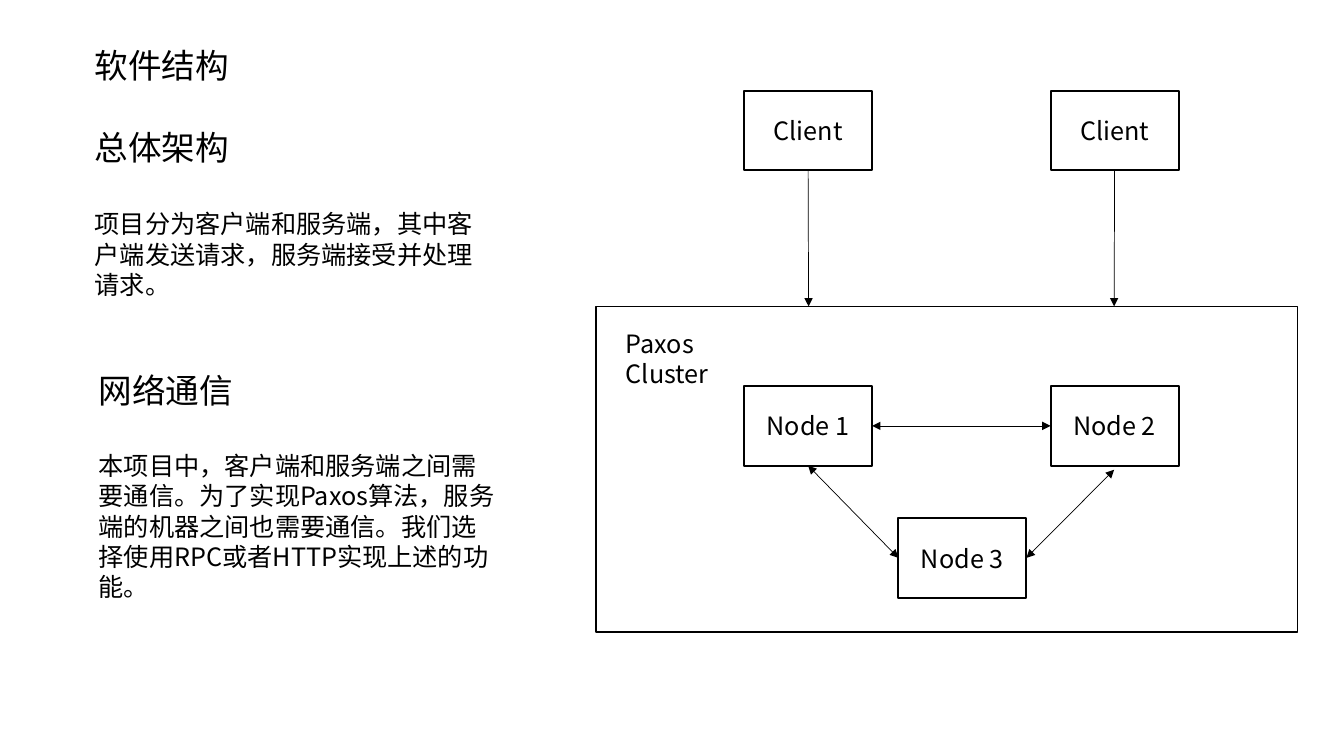
import pptx
import pptx.util
import pptx.dml.color
import pptx.enum.shapes
import pptx.enum.text
import pptx.oxml
import pptx.oxml.ns
from pptx.util import Inches

COLORS = {"ink": "000000", "paper": "FFFFFF"}
FONT = "Noto Sans CJK SC"
TOP, LEFT, BOTTOM, RIGHT = range(4)
NODE_SIZE = (1.27, 0.79)
LEFT_COLUMN, MIDDLE_COLUMN, RIGHT_COLUMN = 7.38, 8.91, 10.42
CLIENT_TOP, NODE_TOP, LOWER_NODE_TOP = 0.9, 3.83, 5.14

PASSAGES = [
    ("软件结构", 0.84, 0.4, 1.55, 0.5, 24),
    ("总体架构", 0.84, 1.21, 2.92, 0.5, 24),
    ("项目分为客户端和服务端，其中客户端发送请求，服务端接受并处理请求。",
     0.84, 2.02, 4.13, 1.62, 18),
    ("网络通信", 0.88, 3.62, 2.92, 0.5, 24),
    ("本项目中，客户端和服务端之间需要通信。为了实现Paxos算法，"
     "服务端的机器之间也需要通信。我们选择使用RPC或者HTTP实现上述的功能。",
     0.88, 4.42, 4.13, 1.92, 18),
    ("Paxos Cluster", 6.11, 3.21, 1.64, 0.4, 18),
]


def rgb(name):
    return pptx.dml.color.RGBColor.from_string(COLORS[name])


def add_xml(parent, tag, attributes=""):
    namespace = pptx.oxml.ns.nsdecls("a")
    parent.append(pptx.oxml.parse_xml(f"<a:{tag} {namespace} {attributes}/>"))


def write(frame, text, size):
    frame.word_wrap = True
    paragraph = frame.paragraphs[0]
    paragraph.text = text
    font = paragraph.font
    font.size = pptx.util.Pt(size)
    font.color.rgb = rgb("ink")
    font.name = FONT
    defaults = paragraph._p.pPr.find(pptx.oxml.ns.qn("a:defRPr"))
    add_xml(defaults, "ea", f'typeface="{FONT}"')
    return paragraph


def add_passage(slide, text, left, top, width, height, size):
    passage = slide.shapes.add_textbox(
        Inches(left), Inches(top), Inches(width), Inches(height))
    write(passage.text_frame, text, size)


def add_box(slide, left, top, width, height, line_width):
    box = slide.shapes.add_shape(
        pptx.enum.shapes.MSO_SHAPE.RECTANGLE,
        Inches(left), Inches(top), Inches(width), Inches(height))
    box.shadow.inherit = False
    box.fill.solid()
    box.fill.fore_color.rgb = rgb("paper")
    box.line.color.rgb = rgb("ink")
    box.line.width = pptx.util.Pt(line_width)
    return box


def add_machine(slide, label, left, top):
    machine = add_box(slide, left, top, *NODE_SIZE, 1.5)
    paragraph = write(machine.text_frame, label, 18)
    paragraph.alignment = pptx.enum.text.PP_ALIGN.CENTER
    machine.text_frame.vertical_anchor = pptx.enum.text.MSO_ANCHOR.MIDDLE
    return machine


def add_arrow(slide, start, end, both_ways=True):
    arrow = slide.shapes.add_connector(
        pptx.enum.shapes.MSO_CONNECTOR.STRAIGHT,
        *[Inches(value) for value in start + end])
    arrow.line.color.rgb = rgb("ink")
    arrow.line.width = pptx.util.Pt(0.5)
    line = arrow.line._get_or_add_ln()
    if both_ways:
        add_xml(line, "headEnd", 'type="triangle"')
    add_xml(line, "tailEnd", 'type="triangle"')
    add_xml(arrow._element.spPr, "effectLst")
    return arrow


def main():
    deck = pptx.Presentation()
    deck.slide_width, deck.slide_height = Inches(13.33), Inches(7.5)
    slide = deck.slides.add_slide(deck.slide_layouts[6])

    add_box(slide, 5.91, 3.04, 6.96, 3.23, 1)
    for passage in PASSAGES:
        add_passage(slide, *passage)

    node_1 = add_machine(slide, "Node 1", LEFT_COLUMN, NODE_TOP)
    node_2 = add_machine(slide, "Node 2", RIGHT_COLUMN, NODE_TOP)
    node_3 = add_machine(slide, "Node 3", MIDDLE_COLUMN, LOWER_NODE_TOP)

    for column, center in ((LEFT_COLUMN, 8.02), (RIGHT_COLUMN, 11.05)):
        client = add_machine(slide, "Client", column, CLIENT_TOP)
        request = add_arrow(slide, (center, 1.69), (center, 3.04), False)
        request.begin_connect(client, BOTTOM)

    link_1_2 = add_arrow(slide, (8.65, 4.22), (10.42, 4.22))
    link_1_2.begin_connect(node_1, RIGHT)
    link_1_2.end_connect(node_2, LEFT)
    link_1_3 = add_arrow(slide, (8.02, 4.62), (8.91, 5.53))
    link_1_3.begin_connect(node_1, BOTTOM)
    link_1_3.end_connect(node_3, LEFT)
    link_2_3 = add_arrow(slide, (11.05, 4.66), (10.18, 5.53))
    link_2_3.end_connect(node_3, RIGHT)

    deck.save("out.pptx")


if __name__ == "__main__":
    main()
